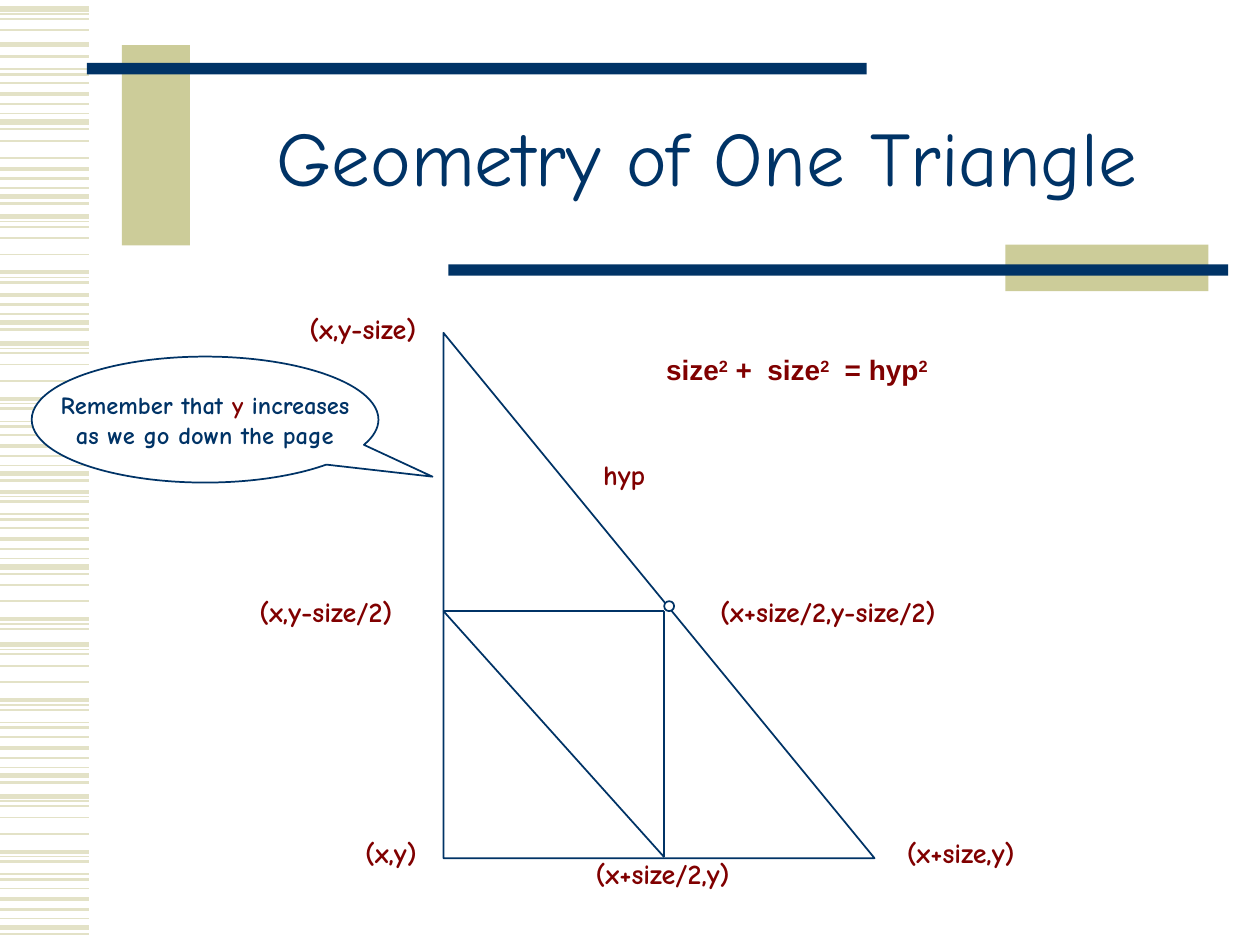
from dataclasses import dataclass

from lxml import etree
from pptx import Presentation
from pptx.dml.color import RGBColor
from pptx.enum.shapes import MSO_CONNECTOR, MSO_SHAPE
from pptx.enum.text import MSO_ANCHOR, MSO_AUTO_SIZE, PP_ALIGN
from pptx.oxml.ns import qn
from pptx.util import Cm, Pt

STRAIGHT = MSO_CONNECTOR.STRAIGHT
RECTANGLE = MSO_SHAPE.RECTANGLE
OVAL = MSO_SHAPE.OVAL
RIGHT_TRIANGLE = MSO_SHAPE.RIGHT_TRIANGLE
CALLOUT = MSO_SHAPE.OVAL_CALLOUT
MIDDLE = MSO_ANCHOR.MIDDLE
CENTER = PP_ALIGN.CENTER
TITLE_ONLY = 5


@dataclass(frozen=True)
class Theme:
    navy: RGBColor = RGBColor(0x00, 0x33, 0x66)
    maroon: RGBColor = RGBColor(0x80, 0x00, 0x00)
    khaki: RGBColor = RGBColor(0xCC, 0xCC, 0x99)
    stripe: RGBColor = RGBColor(0xE3, 0xE2, 0xC7)
    white: RGBColor = RGBColor(0xFF, 0xFF, 0xFF)
    hand_font: str = "Comic Neue"
    formula_font: str = "Arial"
    title_size: float = 44
    label_size: float = 16
    callout_size: float = 14
    outline: float = 1


THEME = Theme()


@dataclass(frozen=True)
class Box:
    left: float
    top: float
    width: float
    height: float


@dataclass(frozen=True)
class Span:
    text: str
    color: RGBColor = THEME.maroon
    size: float = THEME.label_size
    font: str = THEME.hand_font
    bold: bool = True
    raised: bool = False


@dataclass(frozen=True)
class Label:
    left: float
    top: float
    width: float
    spans: tuple[Span, ...]


@dataclass(frozen=True)
class StripeRun:
    """Part of a stripe motif, placed from its base height."""
    motif: tuple[tuple[float, float], ...]
    base: float
    first: int = 0
    last: int = 10


# Stripe motifs: (offset in cm, weight in points)
SHORT = ((-0.78, 1), (-0.56, 2.25), (-0.36, 1.5), (-0.17, 0.75), (0, 3), (0.14, 1.5))
LONG = ((0, 3), (0.1, 0.75), (0.2, 1), (0.43, 1), (0.76, 1), (1.12, 2.25),
        (1.22, 0.75), (1.32, 1.5), (1.57, 0.75), (1.68, 1.5))
STRIPE_WIDTH = 1.8
STRIPE_RUNS = (
    *(StripeRun(SHORT, base) for base in (2.46, 3.96, 9.55, 11.43, 15.64, 18.69)),
    StripeRun(SHORT, 6.5, first=1),
    *(StripeRun(LONG, base) for base in (6.92, 12.99, 16.05)),
    StripeRun(LONG, -0.18, first=7),
    StripeRun(LONG, 0.18, last=4),
    StripeRun(LONG, 4.37, last=8),
    StripeRun(LONG, 8.79, first=5),
    StripeRun(LONG, 11.36, first=3, last=8),
    StripeRun(((0, 3),), 0.89),
    StripeRun(((0, 1),), 2.84),
)

BARS = (
    (Box(2.46, 0.91, 1.37, 4.04), THEME.khaki),
    (Box(1.75, 1.27, 15.72, 0.23), THEME.navy),
    (Box(20.27, 4.93, 4.09, 0.94), THEME.khaki),
    (Box(9.04, 5.33, 15.72, 0.23), THEME.navy),
)

# Corners of the inner triangle
TRIANGLE = Box(8.94, 6.71, 8.69, 10.59)
LEFT_MID = (TRIANGLE.left, 12.32)
HYP_MID = (13.39, 12.32)
BASE_MID = (13.39, 17.28)
INNER_SIDES = ((HYP_MID, BASE_MID), (HYP_MID, LEFT_MID), (LEFT_MID, BASE_MID))

LABEL_HEIGHT = 0.94
FORMULA = tuple(
    Span(text, font=THEME.formula_font, raised=text == "2")
    for text in ("size", "2", " +  size", "2", "  = hyp", "2")
)
LABELS = (
    Label(13.18, 6.99, 5.92, FORMULA),
    Label(11.91, 9.09, 1.35, (Span("hyp"),)),
    Label(14.27, 11.86, 4.88, (Span("(x+size/2,y-size/2)"),)),
    Label(5.99, 6.15, 2.67, (Span("(x,y-size)"),)),
    Label(4.98, 11.86, 3.2, (Span("(x,y-size/2)"),)),
    Label(7.11, 16.71, 1.55, (Span("(x,y)"),)),
    Label(18.03, 16.71, 2.69, (Span("(x+size,y)"),)),
    Label(11.76, 17.15, 3.23, (Span("(x+size/2,y)"),)),
)


def callout_span(text: str, color: RGBColor = THEME.navy) -> Span:
    return Span(text, color, THEME.callout_size)


CALLOUT_LINES = (
    (callout_span("Remember that "), callout_span("y", THEME.maroon), callout_span(" increases")),
    (callout_span("as we go down the page"),),
)


def add_spans(para, spans: tuple[Span, ...]) -> None:
    for span in spans:
        run = para.add_run()
        run.text = span.text
        font = run.font
        font.name, font.size, font.bold = span.font, Pt(span.size), span.bold
        font.color.rgb = span.color
        if span.raised:
            run._r.get_or_add_rPr().set("baseline", "30000")


def add_line(page, start: tuple[float, float], end: tuple[float, float],
             color: RGBColor, weight: float) -> None:
    line = page.shapes.add_connector(STRAIGHT, *(Cm(value) for value in (*start, *end)))
    line.line.color.rgb = color
    line.line.width = Pt(weight)
    etree.SubElement(line._element.spPr, qn("a:effectLst"))


def add_figure(page, kind, box: Box, fill: RGBColor, outlined: bool = True):
    figure = page.shapes.add_shape(kind, Cm(box.left), Cm(box.top), Cm(box.width), Cm(box.height))
    figure.shadow.inherit = False
    figure.fill.solid()
    figure.fill.fore_color.rgb = fill
    if outlined:
        figure.line.color.rgb = THEME.navy
        figure.line.width = Pt(THEME.outline)
    else:
        figure.line.fill.background()
    return figure


def add_label(page, label: Label) -> None:
    box = page.shapes.add_textbox(Cm(label.left), Cm(label.top), Cm(label.width), Cm(LABEL_HEIGHT))
    box.text_frame.word_wrap = False
    box.text_frame.auto_size = MSO_AUTO_SIZE.SHAPE_TO_FIT_TEXT
    add_spans(box.text_frame.paragraphs[0], label.spans)


def add_callout(page) -> None:
    callout = add_figure(page, CALLOUT, Box(0.64, 7.19, 6.99, 2.54), THEME.white)
    callout.adjustments[0], callout.adjustments[1] = 0.656, 0.453
    frame = callout.text_frame
    frame.word_wrap = False
    frame.vertical_anchor = MIDDLE
    for index, spans in enumerate(CALLOUT_LINES):
        para = frame.add_paragraph() if index else frame.paragraphs[0]
        para.alignment = CENTER
        add_spans(para, spans)


def set_title(page, text: str) -> None:
    title = page.shapes.title
    title.left, title.top, title.width, title.height = Cm(4.01), Cm(1.7), Cm(20.5), Cm(3.18)
    title.text_frame.vertical_anchor = MIDDLE
    para = title.text_frame.paragraphs[0]
    para.alignment = CENTER
    para.line_spacing = 0.85
    add_spans(para, (Span(text, THEME.navy, THEME.title_size, bold=False),))


def main() -> None:
    deck = Presentation()
    deck.slide_width, deck.slide_height = Cm(25.4), Cm(19.05)
    page = deck.slides.add_slide(deck.slide_layouts[TITLE_ONLY])

    # Striped margin and header bars
    for run in STRIPE_RUNS:
        for offset, weight in run.motif[run.first:run.last]:
            height = run.base + offset
            add_line(page, (0, height), (STRIPE_WIDTH, height), THEME.stripe, weight)
    for box, color in BARS:
        add_figure(page, RECTANGLE, box, color, outlined=False)
    set_title(page, "Geometry of One Triangle")

    # Triangle with its midpoints joined
    add_figure(page, RIGHT_TRIANGLE, TRIANGLE, THEME.white)
    add_figure(page, OVAL, Box(13.39, 12.12, 0.2, 0.2), THEME.white)
    for start, end in INNER_SIDES:
        add_line(page, start, end, THEME.navy, THEME.outline)

    # Notes on the figure
    add_callout(page)
    for label in LABELS:
        add_label(page, label)

    deck.save("out.pptx")


if __name__ == "__main__":
    main()
